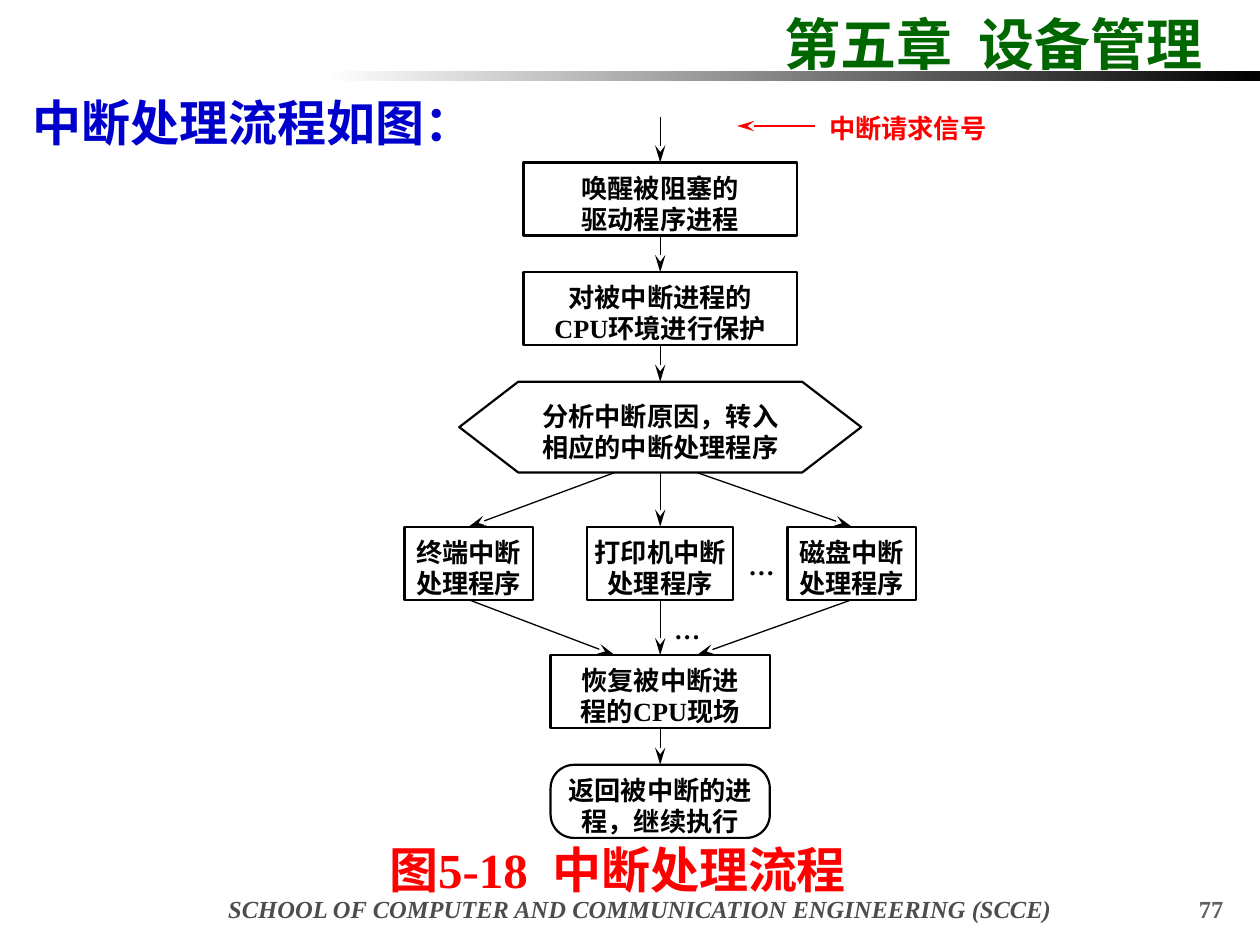
from itertools import groupby

from lxml.etree import SubElement
from pptx import Presentation
from pptx.dml.color import RGBColor
from pptx.enum.shapes import MSO_CONNECTOR, MSO_SHAPE
from pptx.enum.text import MSO_ANCHOR, PP_ALIGN
from pptx.oxml.ns import qn
from pptx.util import Inches, Pt

BLACK = RGBColor(0x00, 0x00, 0x00)
WHITE = RGBColor(0xFF, 0xFF, 0xFF)
RED = RGBColor(0xFF, 0x00, 0x00)
BLUE = RGBColor(0x00, 0x00, 0xCC)
GREEN = RGBColor(0x00, 0x66, 0x00)
DARK_GRAY = RGBColor(0x4D, 0x4D, 0x4D)
GRAY = RGBColor(0x5F, 0x5F, 0x5F)

SERIF, CJK = "Times New Roman", "Noto Sans CJK SC"
WIDTH, HEIGHT = 10, 7.5

STEP_HEIGHT = 0.58
STEP_PITCH = 0.87
DECISION_HEIGHT = 0.72
HANDLER_GAP = 0.43
LABEL_SIZE = 15
LINE_PITCH = 17.6


def add_run(paragraph, text, latin, color, size, italic=False):
    run = paragraph.add_run()
    run.text = text
    formats = {"name": latin, "size": Pt(size), "bold": True, "italic": italic}
    for attribute, value in formats.items():
        setattr(run.font, attribute, value)
    run.font.color.rgb = color
    SubElement(run._r.get_or_add_rPr(), qn("a:ea"), typeface=CJK)


def set_frame(frame, **formats):
    for attribute, value in formats.items():
        setattr(frame, attribute, value)


def add_label(slide, box, text, color, size, latin=SERIF, align=PP_ALIGN.LEFT, italic=False):
    """Place one line of text, centred vertically, in box (left, top, width, height)."""
    frame = slide.shapes.add_textbox(*map(Inches, box)).text_frame
    set_frame(frame, word_wrap=True, vertical_anchor=MSO_ANCHOR.MIDDLE,
              margin_left=0, margin_right=0, margin_top=0, margin_bottom=0)
    frame.paragraphs[0].alignment = align
    add_run(frame.paragraphs[0], text, latin, color, size, italic)


def add_step(slide, box, lines, outline=MSO_SHAPE.RECTANGLE, corner=None):
    """Place an outlined flowchart step with its lines of text."""
    step = slide.shapes.add_shape(outline, *map(Inches, box))
    step.shadow.inherit = False
    step.fill.solid()
    step.fill.fore_color.rgb = WHITE
    step.line.color.rgb = BLACK
    step.line.width = Pt(1.25)
    if corner is not None:
        step.adjustments[0] = corner
    frame = step.text_frame
    set_frame(frame, word_wrap=False, vertical_anchor=MSO_ANCHOR.MIDDLE,
              margin_left=0, margin_right=0, margin_top=Inches(0.07), margin_bottom=0)
    for number, line in enumerate(lines):
        paragraph = frame.add_paragraph() if number else frame.paragraphs[0]
        paragraph.alignment = PP_ALIGN.CENTER
        paragraph.line_spacing = Pt(LINE_PITCH)
        for is_latin, letters in groupby(line, str.isascii):
            add_run(paragraph, "".join(letters), SERIF if is_latin else CJK, BLACK, LABEL_SIZE)


def add_arrow(slide, start, end, color=BLACK):
    arrow = slide.shapes.add_connector(MSO_CONNECTOR.STRAIGHT, *map(Inches, (*start, *end)))
    arrow.line.color.rgb = color
    arrow.line.width = Pt(0.75)
    SubElement(arrow.line._get_or_add_ln(), qn("a:tailEnd"), type="stealth", w="med", len="lg")
    SubElement(arrow._element.spPr, qn("a:effectLst"))


def add_header(slide, left, top, width):
    """Chapter title above a bar that fades in from the left."""
    add_label(slide, (left + 0.623 * width, top, 0.36 * width, 0.64),
              "第五章  设备管理", GREEN, 32)
    bar_left = left + 0.258 * width
    bar = slide.shapes.add_shape(MSO_SHAPE.RECTANGLE, Inches(bar_left), Inches(top + 0.54),
                                 Inches(left + width - bar_left), Inches(0.08))
    bar.shadow.inherit = False
    bar.line.fill.background()
    bar.fill.gradient()
    bar.fill.gradient_angle = 0
    for stop, position, color in zip(bar.fill.gradient_stops, (0, 1), (WHITE, BLACK)):
        stop.position = position
        stop.color.rgb = color


def add_flowchart(slide, center, top):
    """Interrupt flow, hung on a vertical axis at center, from the entry arrow at top."""
    def centered(width, row_top, height=STEP_HEIGHT, offset=0):
        return center + offset - width / 2, row_top, width, height

    wake = top + 0.36
    protect = wake + STEP_PITCH
    analyse = protect + STEP_PITCH
    analyse_end = analyse + DECISION_HEIGHT
    handlers = analyse_end + HANDLER_GAP
    handlers_end = handlers + STEP_HEIGHT
    restore = handlers_end + HANDLER_GAP + 0.01
    resume = restore + STEP_PITCH

    add_step(slide, centered(2.17, wake), ("唤醒被阻塞的", "驱动程序进程"))
    add_step(slide, centered(2.17, protect), ("对被中断进程的", "CPU环境进行保护"))
    add_step(slide, centered(3.19, analyse, DECISION_HEIGHT),
             ("分析中断原因，转入", "相应的中断处理程序"), MSO_SHAPE.HEXAGON, 0.65)
    add_step(slide, centered(1.74, restore), ("恢复被中断进", "程的CPU现场"))
    add_step(slide, centered(1.74, resume), ("返回被中断的进", "程，继续执行"),
             MSO_SHAPE.ROUNDED_RECTANGLE, 0.32)

    for end, begin in ((wake, top), (protect, wake + STEP_HEIGHT),
                       (analyse, protect + STEP_HEIGHT), (resume, restore + STEP_HEIGHT)):
        add_arrow(slide, (center, begin), (center, end))

    # device, width, offset of the box and of the arrow ends on the shared steps
    branches = (("终端", 1.02, -1.52, -0.36), ("打印机", 1.16, 0, 0), ("磁盘", 1.02, 1.52, 0.29))
    for device, width, offset, joint in branches:
        add_step(slide, centered(width, handlers, offset=offset), (device + "中断", "处理程序"))
        add_arrow(slide, (center + joint, analyse_end), (center + offset, handlers))
        add_arrow(slide, (center + offset, handlers_end), (center + joint, restore))

    for offset, dots_top in ((0.7, handlers + 0.18), (0.11, handlers_end + 0.11)):
        add_label(slide, (center + offset, dots_top, 0.25, 0.25), "…", BLACK, LABEL_SIZE)

    signal = top + 0.07
    add_arrow(slide, (center + 1.23, signal), (center + 0.61, signal), RED)
    add_label(slide, (center + 1.34, signal - 0.11, 1.4, 0.25),
              "中断请求信号", RED, LABEL_SIZE, CJK)


def add_footer(slide, left, top, width, height):
    add_label(slide, (left + 0.122 * width, top, 0.772 * width, height),
              "SCHOOL OF COMPUTER AND COMMUNICATION ENGINEERING (SCCE)",
              DARK_GRAY, 14, align=PP_ALIGN.CENTER, italic=True)
    add_label(slide, (left + 0.916 * width, top, 0.055 * width, height),
              "77", GRAY, 14, align=PP_ALIGN.RIGHT)


def main():
    deck = Presentation()
    deck.slide_width, deck.slide_height = Inches(WIDTH), Inches(HEIGHT)
    slide = deck.slides.add_slide(deck.slide_layouts[6])
    add_header(slide, 0, 0.02, WIDTH)
    add_footer(slide, 0, 7.04, WIDTH, 0.34)
    add_label(slide, (0.26, 0.68, 3.9, 0.57), "中断处理流程如图：", BLUE, 28)
    add_flowchart(slide, 5.24, 0.93)
    add_label(slide, (3.09, 6.61, 4, 0.57), "图5-18  中断处理流程", RED, 28)
    deck.save("out.pptx")


if __name__ == "__main__":
    main()
